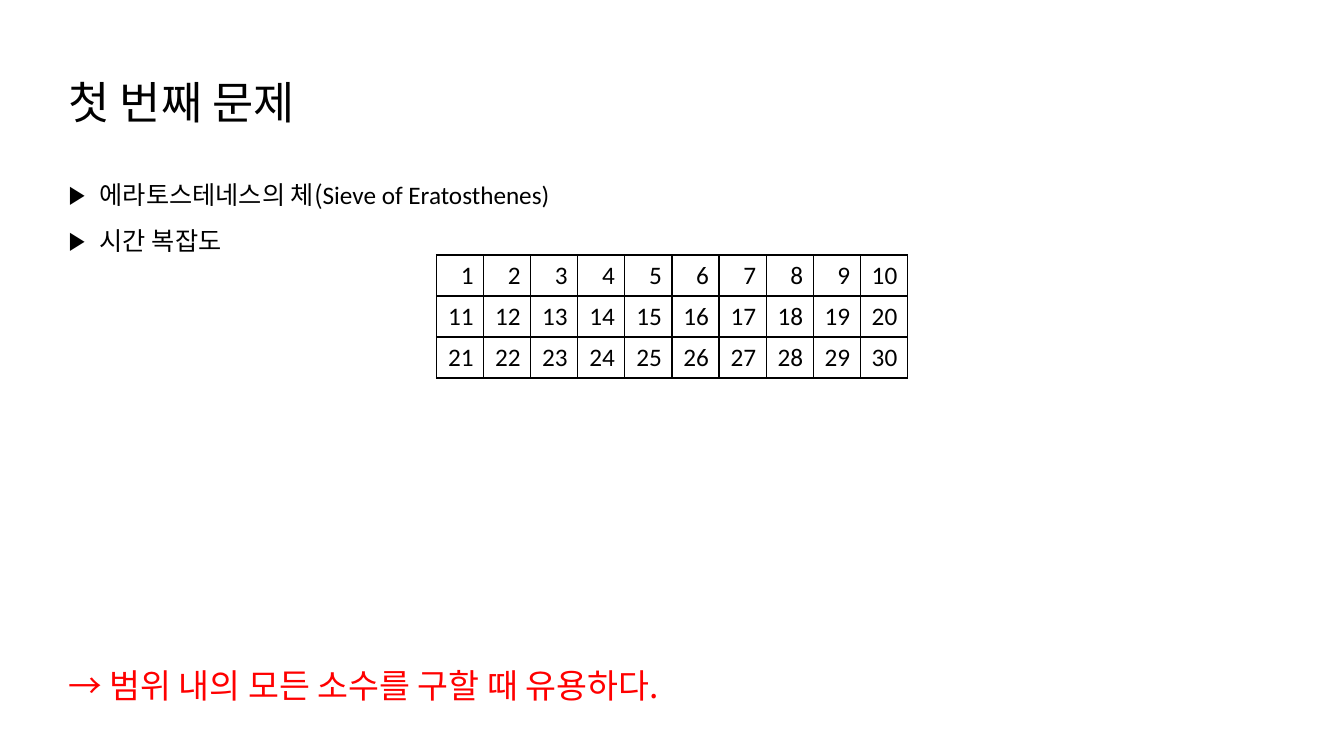
from lxml import etree
from pptx import Presentation
from pptx.dml.color import RGBColor
from pptx.enum.text import MSO_ANCHOR, MSO_AUTO_SIZE, PP_ALIGN
from pptx.oxml.ns import qn
from pptx.util import Inches, Pt

LEFT, RIGHT = PP_ALIGN.LEFT, PP_ALIGN.RIGHT
TOP, MIDDLE = MSO_ANCHOR.TOP, MSO_ANCHOR.MIDDLE
NO_AUTOFIT = MSO_AUTO_SIZE.NONE

COLORS = {"text": "000000", "accent": "FF0000", "border": "000000"}
KOREAN, LATIN = "Noto Sans CJK KR", "Calibri"
LINE_HEIGHT = 1.22  # line height as a share of the font size

TITLE = [("첫 번째 문제", KOREAN)]
BULLETS = [
    [("에라토스테네스의 체(", KOREAN), ("Sieve of Eratosthenes)", LATIN)],
    [("시간 복잡도", KOREAN)],
]
CONCLUSION = [("→ 범위 내의 모든 소수를 구할 때 유용하다.", KOREAN)]
ROWS, COLUMNS = 3, 10
TABLE_LEFT, TABLE_TOP = 4.33, 2.53
COLUMN_WIDTH, ROW_HEIGHT = 0.467, 0.407


def place(shape, left, top, width, height):
    shape.left, shape.top = Inches(left), Inches(top)
    shape.width, shape.height = Inches(width), Inches(height)


def write(frame, paragraphs, size, color="text", align=LEFT, anchor=TOP,
          spacing=None, bullet=None):
    """Fill a text frame; each paragraph is a list of (text, font) runs."""
    frame.word_wrap = True
    frame.vertical_anchor = anchor
    for index, runs in enumerate(paragraphs):
        paragraph = frame.add_paragraph() if index else frame.paragraphs[0]
        paragraph.alignment = align
        paragraph.space_before = paragraph.space_after = Pt(0)
        if spacing:
            paragraph.line_spacing = Pt(round(size * LINE_HEIGHT * spacing))
        if bullet:
            properties = paragraph._p.get_or_add_pPr()
            properties.set("marL", str(Inches(0.31)))
            properties.set("indent", str(-Inches(0.31)))
            etree.SubElement(properties, qn("a:buChar"), char=bullet)
        for text, font_name in runs:
            run = paragraph.add_run()
            run.text = text
            run.font.size = Pt(size)
            run.font.name = font_name
            run.font.color.rgb = RGBColor.from_string(COLORS[color])
            etree.SubElement(run._r.get_or_add_rPr(), qn("a:ea"),
                             typeface=font_name)


def add_borders(cell):
    properties = cell._tc.get_or_add_tcPr()
    for index, side in enumerate(("lnL", "lnR", "lnT", "lnB")):
        line = etree.Element(qn(f"a:{side}"), w=str(Pt(1)))
        fill = etree.SubElement(line, qn("a:solidFill"))
        etree.SubElement(fill, qn("a:srgbClr"), val=COLORS["border"])
        properties.insert(index, line)


def add_number_table(slide):
    table = slide.shapes.add_table(
        ROWS, COLUMNS, Inches(TABLE_LEFT), Inches(TABLE_TOP),
        Inches(COLUMNS * COLUMN_WIDTH), Inches(ROWS * ROW_HEIGHT)).table
    table.first_row = table.horz_banding = False
    for column in table.columns:
        column.width = Inches(COLUMN_WIDTH)
    for row in table.rows:
        row.height = Inches(ROW_HEIGHT)
    for number, cell in enumerate(table.iter_cells(), start=1):
        cell.fill.background()
        add_borders(cell)
        write(cell.text_frame, [[(str(number), LATIN)]], 18, align=RIGHT)


def main():
    presentation = Presentation()
    presentation.slide_width = Inches(13.33)
    presentation.slide_height = Inches(7.5)
    slide = presentation.slides.add_slide(presentation.slide_layouts[1])

    title, body = slide.placeholders
    place(title, 0.58, 0.43, 7.97, 1.14)
    place(body, 0.58, 1.57, 6.72, 1.33)
    for placeholder in (title, body):
        placeholder.text_frame.auto_size = NO_AUTOFIT
    write(title.text_frame, [TITLE], 32, anchor=MIDDLE, spacing=1)
    write(body.text_frame, BULLETS, 18, spacing=1.5, bullet="▶")

    conclusion = slide.shapes.add_textbox(
        Inches(0.58), Inches(6.54), Inches(5.98), Inches(0.53))
    write(conclusion.text_frame, [CONCLUSION], 24, color="accent", spacing=1)
    add_number_table(slide)
    presentation.save("out.pptx")


if __name__ == "__main__":
    main()
